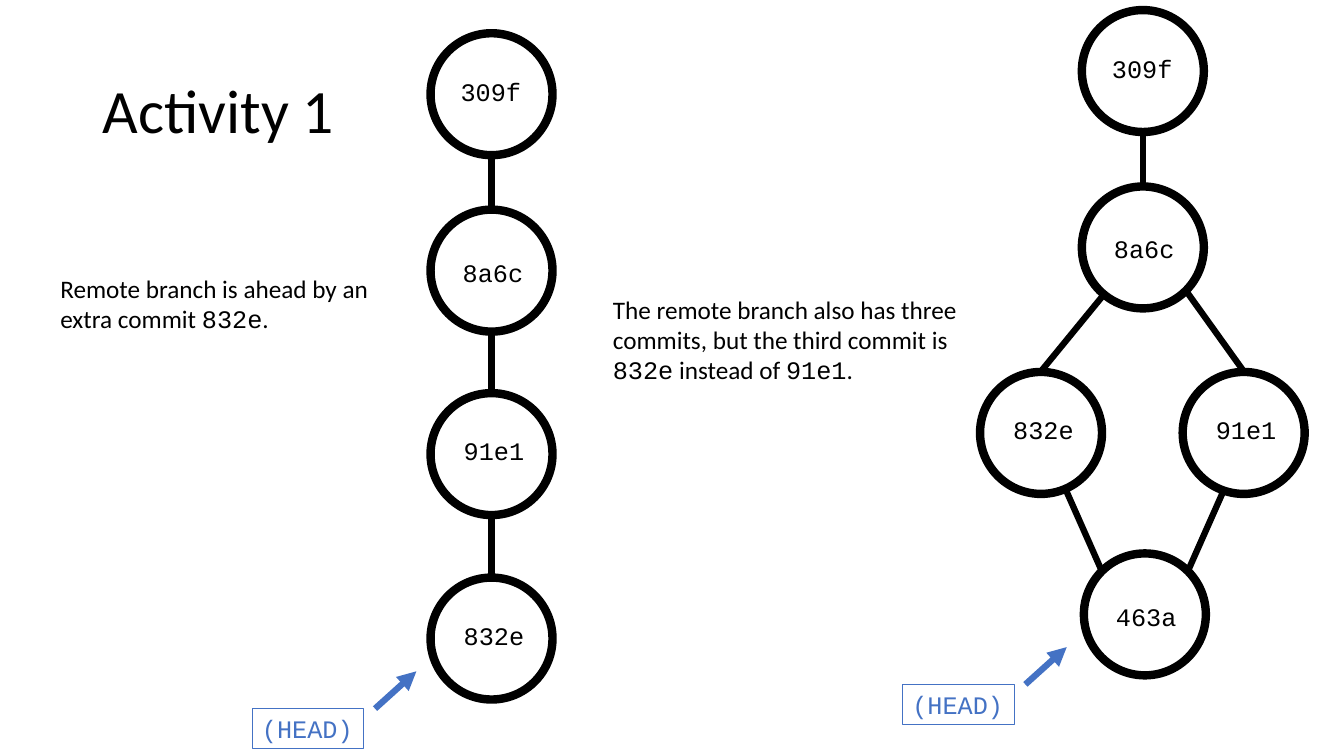
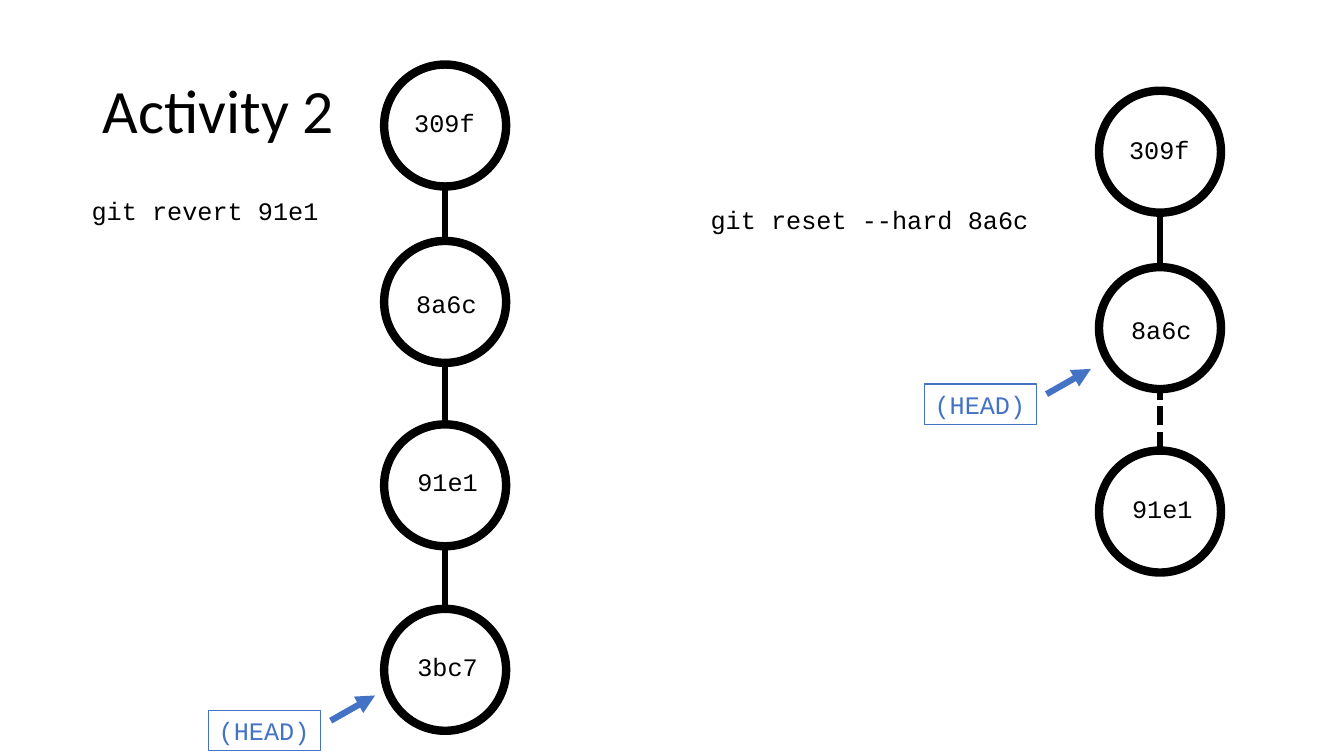
from lxml import etree
from pptx import Presentation
from pptx import util as u
from pptx.dml.color import RGBColor
from pptx.enum import dml, shapes, text
from pptx.oxml.ns import qn

BLACK = RGBColor(0, 0, 0)
BLUE = RGBColor(0x44, 0x72, 0xC4)
SANS, MONO = "Calibri", "Courier New"
SIZE = 1.21
STEPS = (0, 1.75, 3.57, 5.4)
SHIFTS = {"309f": (0.2, 0.38), "8a6c": (0.22, 0.42), "463a": (0.22, 0.43)}
SHIFT = (0.23, 0.37)

SLIDES = [
    {
        "title": "Activity 1",
        "notes": [
            ((0, 2.66, 4.01, 0.71),
             [("Remote branch is ahead by an extra commit ", SANS),
              ("832e", MONO), (".", SANS)]),
            ((5.48, 2.87, 4.55, 1.01),
             [("The remote branch also has three commits, but the third commit is ", SANS),
              ("832e", MONO), (" instead of ", SANS), ("91e1", MONO), (".", SANS)]),
        ],
        "chains": [
            (4.27, 0.33, ["309f", "8a6c", "91e1", "832e"], None),
            (10.73, 0.1, ["309f", "8a6c"], None),
        ],
        "nodes": [("832e", 9.72, 3.69), ("91e1", 11.73, 3.69), ("463a", 10.75, 5.49)],
        "links": [
            (10.32, 3.69, 10.95, 2.92), (12.34, 3.69, 11.76, 2.88),
            (10.93, 5.67, 10.58, 4.88), (11.78, 5.67, 12.13, 4.88),
        ],
        "heads": [(2.5, 7.03, (1.22, 0, 1.63, -0.37)),
                  (8.95, 6.79, (1.22, 0, 1.63, -0.37))],
    },
    {
        "title": "Activity 2",
        "notes": [
            ((0.31, 1.89, 3.18, 0.4), [("git revert 91e1", MONO)]),
            ((6.45, 1.98, 4.14, 0.4), [("git reset --hard 8a6c", MONO)]),
        ],
        "chains": [
            (3.81, 0.64, ["309f", "8a6c", "91e1", "3bc7"], None),
            (10.9, 0.9, ["309f", "8a6c", "91e1"], "91e1"),
        ],
        "nodes": [],
        "links": [],
        "heads": [(2.07, 7.05, (1.21, 0.1, 1.65, -0.15)),
                  (9.17, 3.81, (1.21, 0.1, 1.65, -0.15))],
    },
]


def inches(vals):
    return [u.Inches(v) for v in vals]


def write(frame, runs, size=18, color=BLACK, wrap=False):
    frame.word_wrap = wrap
    para = frame.paragraphs[0]
    para.alignment = text.PP_ALIGN.LEFT
    para.font.size = u.Pt(size)
    para.font.color.rgb = color
    for words, face in runs:
        run = para.add_run()
        run.text = words
        run.font.name = face
        run.font.size = u.Pt(size)
        run.font.color.rgb = color
    return para


def label(slide, box, runs, **style):
    return write(slide.shapes.add_textbox(*inches(box)).text_frame, runs, **style)


def outline(slide, kind, box, color, width):
    shape = slide.shapes.add_shape(kind, *inches(box))
    shape.shadow.inherit = False
    shape.fill.background()
    shape.line.color.rgb = color
    shape.line.width = u.Pt(width)
    return shape


def link(slide, ends, color=BLACK, dash=False, arrow=False):
    line = slide.shapes.add_connector(shapes.MSO_CONNECTOR.STRAIGHT, *inches(ends))
    line.line.color.rgb = color
    line.line.width = u.Pt(4.5)
    if dash:
        line.line.dash_style = dml.MSO_LINE.SQUARE_DOT
    if arrow:
        tip = etree.SubElement(line.line._get_or_add_ln(), qn("a:tailEnd"))
        tip.set("type", "triangle")
    etree.SubElement(line._element.spPr, qn("a:effectLst"))


def node(slide, name, x, y):
    outline(slide, shapes.MSO_SHAPE.OVAL, (x, y, SIZE, SIZE), BLACK, 6)
    dx, dy = SHIFTS.get(name, SHIFT)
    label(slide, (x + dx, y + dy, 0.81, 0.4), [(name, MONO)])


def chain(slide, x, y, names, lost):
    mid = x + SIZE / 2
    for i, name in enumerate(names):
        top = y + STEPS[i]
        node(slide, name, x, top)
        if i:
            link(slide, (mid, top, mid, y + STEPS[i - 1] + SIZE), dash=name == lost)


def head(slide, x, y, ends):
    box = outline(slide, shapes.MSO_SHAPE.RECTANGLE, (x, y, 1.11, 0.4), BLUE, 0.75)
    write(box.text_frame, [("(HEAD)", MONO)], color=BLUE)
    x1, y1, x2, y2 = ends
    link(slide, (x + x1, y + y1, x + x2, y + y2), BLUE, arrow=True)


def title(slide, words):
    box = slide.shapes.add_textbox(*inches((0.92, 0.4, 11.5, 1.45)))
    box.text_frame.vertical_anchor = text.MSO_ANCHOR.MIDDLE
    para = write(box.text_frame, [(words, SANS)], size=44, wrap=True)
    para.line_spacing = 0.9


deck = Presentation()
deck.slide_width, deck.slide_height = inches((13.33, 7.5))
for page in SLIDES:
    slide = deck.slides.add_slide(deck.slide_layouts[6])
    title(slide, page["title"])
    for box, runs in page["notes"]:
        para = label(slide, box, runs, wrap=True)
        para.level = 1
        para._p.get_or_add_pPr().set("marL", str(u.Inches(0.5)))
    for part in page["chains"]:
        chain(slide, *part)
    for part in page["nodes"]:
        node(slide, *part)
    for ends in page["links"]:
        link(slide, ends)
    for part in page["heads"]:
        head(slide, *part)
deck.save("out.pptx")
